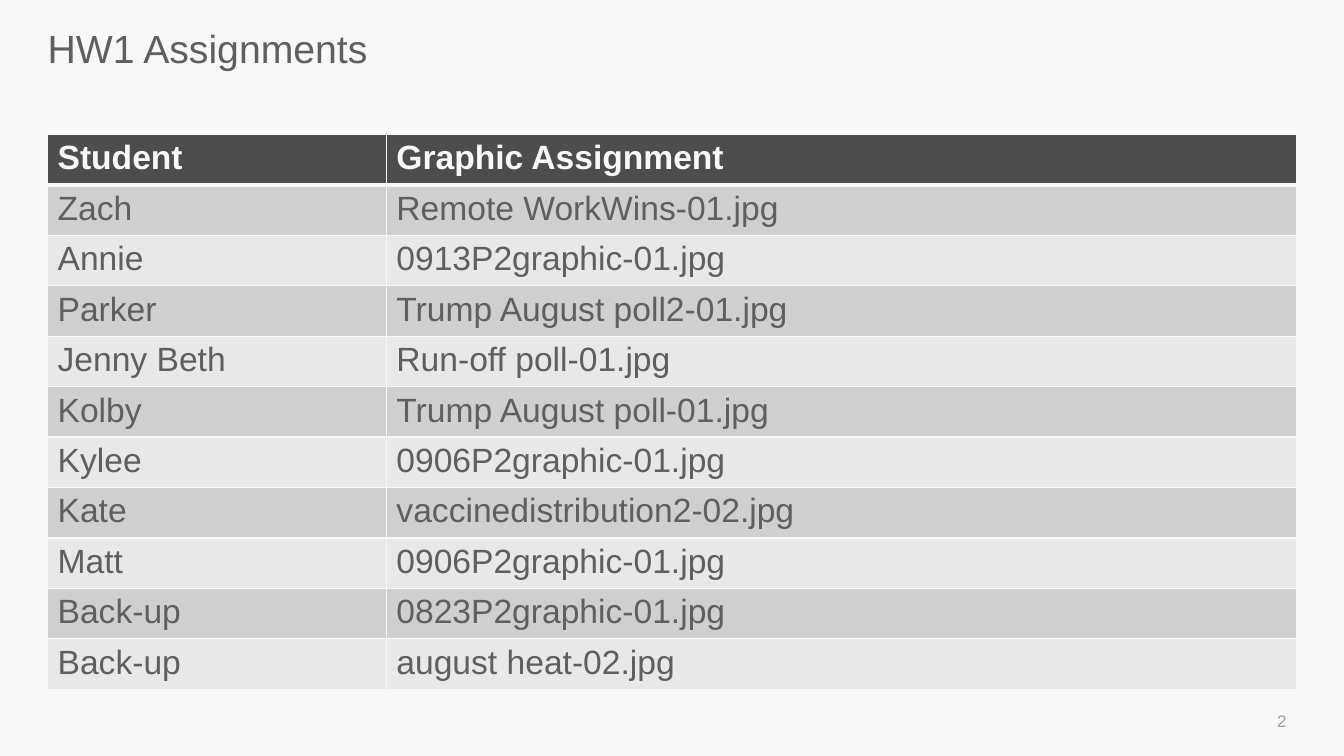
from dataclasses import dataclass

from lxml.etree import SubElement
from pptx import Presentation
from pptx.dml.color import RGBColor
from pptx.enum.text import MSO_ANCHOR, PP_ALIGN
from pptx.oxml.ns import qn
from pptx.util import Pt

TITLE = "HW1 Assignments"
PAGE_NUMBER = "2"
HEADINGS = ("Student", "Graphic Assignment")
ASSIGNMENTS = [
    ("Zach", "Remote WorkWins-01.jpg"),
    ("Annie", "0913P2graphic-01.jpg"),
    ("Parker", "Trump August poll2-01.jpg"),
    ("Jenny Beth", "Run-off poll-01.jpg"),
    ("Kolby", "Trump August poll-01.jpg"),
    ("Kylee", "0906P2graphic-01.jpg"),
    ("Kate", "vaccinedistribution2-02.jpg"),
    ("Matt", "0906P2graphic-01.jpg"),
    ("Back-up", "0823P2graphic-01.jpg"),
    ("Back-up", "august heat-02.jpg"),
]


@dataclass(frozen=True)
class Theme:
    """Colours, font and type sizes of the slide."""
    font: str = "Arial"
    paper: str = "F8F8F8"
    ink: str = "5F5F5F"
    muted: str = "9B9B9B"
    header: str = "4D4D4D"
    bands: tuple = ("CFCFCF", "E8E8E8")
    title_size: int = 28
    table_size: int = 24
    number_size: int = 12
    rule: int = 1
    header_rule: int = 3


THEME = Theme()
SLIDE_WIDTH, SLIDE_HEIGHT = 960, 540
MARGIN = 34
CONTENT_WIDTH = SLIDE_WIDTH - 2 * MARGIN
STUDENT_WIDTH = 242
COLUMN_WIDTHS = (STUDENT_WIDTH, CONTENT_WIDTH - STUDENT_WIDTH)
TABLE_TOP, ROW_HEIGHT = 96, 29.2
NUMBER_WIDTH = 216


def style_text(frame, size, colour, bold=False):
    """Format every run of a text frame."""
    for paragraph in frame.paragraphs:
        for run in paragraph.runs:
            run.font.name = THEME.font
            run.font.size = Pt(size)
            run.font.bold = bold
            run.font.color.rgb = RGBColor.from_string(colour)


def add_label(slide, wording, box, size, colour):
    """Add a wrapped text box and return its text frame."""
    frame = slide.shapes.add_textbox(*map(Pt, box)).text_frame
    frame.word_wrap = True
    frame.text = wording
    style_text(frame, size, colour)
    return frame


def add_borders(cell, top, bottom):
    """Rule all four sides of a cell in the paper colour."""
    properties = cell._tc.get_or_add_tcPr()
    widths = {"L": THEME.rule, "R": THEME.rule, "T": top, "B": bottom}
    for side, width in widths.items():
        line = SubElement(properties, qn(f"a:ln{side}"), w=str(Pt(width)))
        fill = SubElement(line, qn("a:solidFill"))
        SubElement(fill, qn("a:srgbClr"), val=THEME.paper)


def add_assignments(slide):
    """Add the table of students and their graphics."""
    rows = [HEADINGS, *ASSIGNMENTS]
    table = slide.shapes.add_table(
        len(rows), len(HEADINGS), Pt(MARGIN), Pt(TABLE_TOP),
        Pt(CONTENT_WIDTH), Pt(ROW_HEIGHT * len(rows))).table
    for column, width in zip(table.columns, COLUMN_WIDTHS):
        column.width = Pt(width)
    for index, entries in enumerate(rows):
        table.rows[index].height = Pt(ROW_HEIGHT)
        heading = index == 0
        background = THEME.header if heading else THEME.bands[(index - 1) % 2]
        top = THEME.header_rule if index == 1 else THEME.rule
        bottom = THEME.header_rule if heading else THEME.rule
        for cell, entry in zip(table.rows[index].cells, entries):
            cell.text_frame.text = entry
            style_text(cell.text_frame, THEME.table_size,
                       THEME.paper if heading else THEME.ink, heading)
            add_borders(cell, top, bottom)
            cell.fill.solid()
            cell.fill.fore_color.rgb = RGBColor.from_string(background)


def build():
    """Build and save the slide."""
    deck = Presentation()
    deck.slide_width, deck.slide_height = Pt(SLIDE_WIDTH), Pt(SLIDE_HEIGHT)
    slide = deck.slides.add_slide(deck.slide_layouts[6])
    slide.background.fill.solid()
    slide.background.fill.fore_color.rgb = RGBColor.from_string(THEME.paper)

    title = add_label(slide, TITLE, (MARGIN, 22, CONTENT_WIDTH, 64),
                      THEME.title_size, THEME.ink)
    title.margin_left = title.margin_right = 0
    title.margin_top = title.margin_bottom = 0
    title.paragraphs[0].line_spacing = 0.86

    add_assignments(slide)

    number_left = SLIDE_WIDTH - MARGIN - NUMBER_WIDTH
    number = add_label(slide, PAGE_NUMBER, (number_left, 500, NUMBER_WIDTH, 29),
                       THEME.number_size, THEME.muted)
    number.vertical_anchor = MSO_ANCHOR.MIDDLE
    number.paragraphs[0].alignment = PP_ALIGN.RIGHT
    deck.save("out.pptx")


build()
